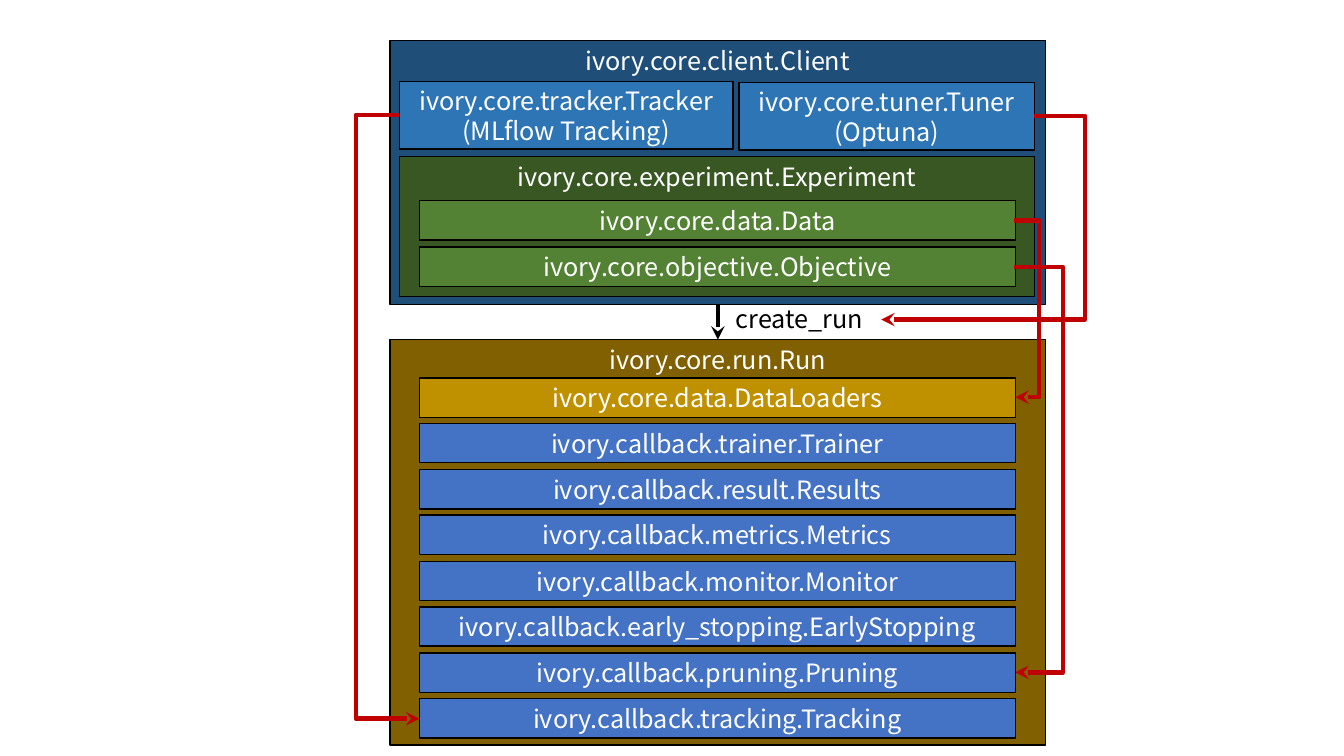
import pptx
import pptx.dml.color
import pptx.enum.shapes
import pptx.enum.text
import pptx.oxml.ns
import pptx.util
import lxml.etree

PX = 9144
FONT = "Noto Sans CJK JP"
COLORS = {
    "client": "1F4E79",
    "service": "2E75B6",
    "experiment": "385723",
    "experiment_part": "548235",
    "run": "806000",
    "loaders": "BF9000",
    "callback": "4472C4",
    "red": "C00000",
    "black": "000000",
    "white": "FFFFFF",
}
ANCHOR = pptx.enum.text.MSO_ANCHOR
ALIGN = pptx.enum.text.PP_ALIGN
CONNECTOR = pptx.enum.shapes.MSO_CONNECTOR
ROW_LEFT, ROW_WIDTH, ROW_HEIGHT = 416, 591, 39
ROW_RIGHT = ROW_LEFT + ROW_WIDTH
CALLBACKS = [
    "trainer.Trainer",
    "result.Results",
    "metrics.Metrics",
    "monitor.Monitor",
    "early_stopping.EarlyStopping",
    "pruning.Pruning",
    "tracking.Tracking",
]


def px(*lengths):
    return [pptx.util.Emu(length * PX) for length in lengths]


def rgb(name):
    return pptx.dml.color.RGBColor.from_string(COLORS[name])


def write_text(shape, text, color="white", align=ALIGN.CENTER, anchor=ANCHOR.MIDDLE, wrap=True):
    frame = shape.text_frame
    frame.word_wrap = wrap
    frame.vertical_anchor = anchor
    frame.text = text
    for paragraph in frame.paragraphs:
        paragraph.alignment = align
        paragraph.font.name = FONT
        paragraph.font.size = pptx.util.Pt(18)
        paragraph.font.color.rgb = rgb(color)


def add_box(slide, text, left, top, width, height, fill, anchor=ANCHOR.MIDDLE):
    shape = slide.shapes.add_shape(
        pptx.enum.shapes.MSO_SHAPE.RECTANGLE, *px(left, top, width, height)
    )
    shape.shadow.inherit = False
    shape.fill.solid()
    shape.fill.fore_color.rgb = rgb(fill)
    shape.line.color.rgb = rgb("black")
    shape.line.width = pptx.util.Pt(1)
    write_text(shape, text, anchor=anchor)


def add_row(slide, text, top, fill):
    add_box(slide, text, ROW_LEFT, top, ROW_WIDTH, ROW_HEIGHT, fill)


def add_label(slide, text, left, top, width, height):
    label = slide.shapes.add_textbox(*px(left, top, width, height))
    write_text(label, text, color="black", align=ALIGN.LEFT, anchor=ANCHOR.TOP, wrap=False)


def add_arrow(slide, start, end, color, bend_x=None):
    kind = CONNECTOR.STRAIGHT if bend_x is None else CONNECTOR.ELBOW
    arrow = slide.shapes.add_connector(kind, *px(*start, *end))
    arrow.line.color.rgb = rgb(color)
    arrow.line.width = pptx.util.Pt(3.25)
    qn = pptx.oxml.ns.qn
    properties = arrow._element.spPr
    lxml.etree.SubElement(arrow.line._get_or_add_ln(), qn("a:tailEnd"), type="stealth")
    lxml.etree.SubElement(properties, qn("a:effectLst"))
    if bend_x is not None:
        adjustment = round((bend_x - start[0]) / (end[0] - start[0]) * 100000)
        guides = properties.find(qn("a:prstGeom")).get_or_add_avLst()
        lxml.etree.SubElement(guides, qn("a:gd"), name="adj1", fmla=f"val {adjustment}")


def main():
    presentation = pptx.Presentation()
    presentation.slide_width, presentation.slide_height = px(1333, 750)
    slide = presentation.slides.add_slide(presentation.slide_layouts[6])

    add_box(slide, "ivory.core.client.Client", 387, 40, 650, 262, "client", ANCHOR.TOP)
    add_box(slide, "ivory.core.tracker.Tracker\n(MLflow Tracking)", 396, 81, 331, 67, "service")
    add_box(slide, "ivory.core.tuner.Tuner\n(Optuna)", 733, 82, 293, 67, "service")
    add_box(
        slide, "ivory.core.experiment.Experiment", 396, 155, 630, 139, "experiment", ANCHOR.TOP
    )
    add_row(slide, "ivory.core.data.Data", 199, "experiment_part")
    add_row(slide, "ivory.core.objective.Objective", 245, "experiment_part")

    add_box(slide, "ivory.core.run.Run", 387, 337, 650, 402, "run", ANCHOR.TOP)
    add_row(slide, "ivory.core.data.DataLoaders", 375, "loaders")
    for index, callback in enumerate(CALLBACKS, 1):
        top = 375 + round(index * 318 / len(CALLBACKS))
        add_row(slide, f"ivory.callback.{callback}", top, "callback")

    add_label(slide, "create_run", 720, 296, 154, 40)
    add_arrow(slide, (712, 302), (712, 337), "black")
    for start, end, bend_x in [
        ((ROW_RIGHT - 1, 265), (ROW_RIGHT, 667), 1055),
        ((ROW_RIGHT - 1, 219), (ROW_RIGHT, 394), 1031),
        ((396, 114), (ROW_LEFT, 713), 353),
        ((1026, 115), (874, 317), 1076),
    ]:
        add_arrow(slide, start, end, "red", bend_x)

    presentation.save("out.pptx")


if __name__ == "__main__":
    main()
